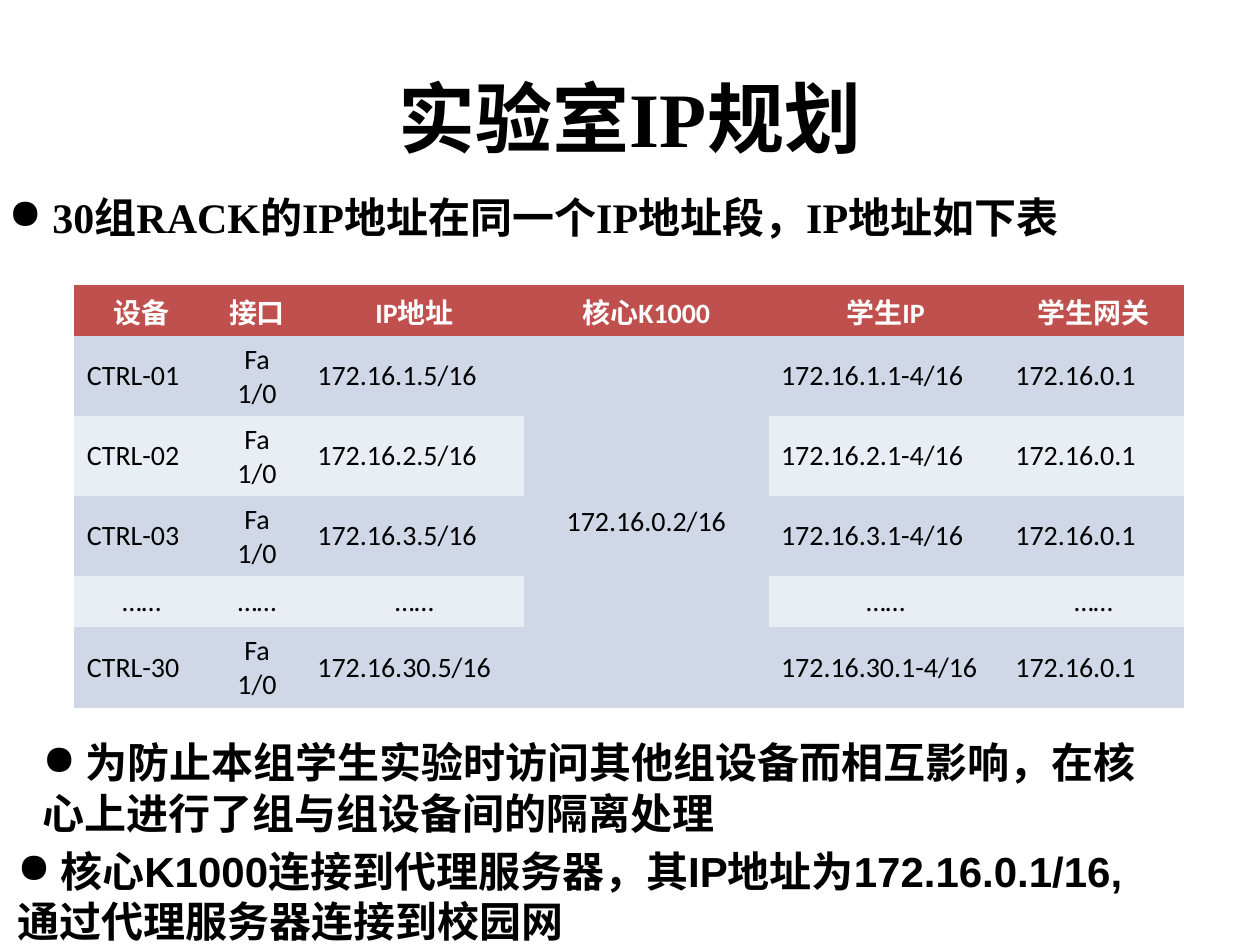
from lxml.etree import SubElement
from pptx import Presentation
from pptx.dml.color import RGBColor
from pptx.enum.text import MSO_ANCHOR, MSO_AUTO_SIZE, PP_ALIGN
from pptx.oxml.ns import qn
from pptx.util import Inches, Pt

BLACK = RGBColor(0x00, 0x00, 0x00)
WHITE = RGBColor(0xFF, 0xFF, 0xFF)
RED = RGBColor(0xC0, 0x50, 0x4D)
BAND_DARK = RGBColor(0xD0, 0xD8, 0xE8)
BAND_LIGHT = RGBColor(0xE9, 0xED, 0xF4)
NO_STYLE = "{2D5ABB26-0587-4C30-8999-92F81FD0307C}"

TITLE = "实验室IP规划"
# left, top, width, height, font, lines
NOTES = [
    (-0.03, 1.47, 9.32, 0.5, "Times New Roman",
     [" 30组RACK的IP地址在同一个IP地址段，IP地址如下表"]),
    (0.24, 5.8, 8.94, 0.9, "Times New Roman",
     [" 为防止本组学生实验时访问其他组设备而相互影响，在核",
      "心上进行了组与组设备间的隔离处理"]),
    (0.04, 6.66, 9.42, 0.9, "Arial",
     [" 核心K1000连接到代理服务器，其IP地址为172.16.0.1/16,",
      "通过代理服务器连接到校园网"]),
]
HEADERS = ["设备", "接口", "IP地址", "核心K1000", "学生IP", "学生网关"]
GROUPS = [1, 2, 3, None, 30]  # None is the row of dots
DOTS = "……"
CORE_ADDRESS = "172.16.0.2/16"
CORE_COLUMN = 3
COLUMN_WIDTHS = [1.07, 0.76, 1.74, 1.94, 1.86, 1.44]
ROW_HEIGHTS = [0.41, 0.63, 0.63, 0.63, 0.41, 0.64]


def group_row(group):
    if group is None:
        row = [DOTS] * len(HEADERS)
    else:
        row = [f"CTRL-{group:02}", "Fa 1/0", f"172.16.{group}.5/16", "",
               f"172.16.{group}.1-4/16", "172.16.0.1"]
    row[CORE_COLUMN] = CORE_ADDRESS if group == GROUPS[0] else ""
    return row


def style(para, name, size, color, bold):
    font = para.font
    font.name, font.size, font.bold = name, Pt(size), bold
    font.color.rgb = color


def add_bullet(para):
    properties = para._p.get_or_add_pPr()
    properties.set("marL", "0")
    properties.set("indent", "0")
    color = SubElement(properties, qn("a:buClr"))
    SubElement(color, qn("a:srgbClr")).set("val", str(BLACK))
    SubElement(properties, qn("a:buChar")).set("char", "●")


def add_title(page):
    box = page.shapes.add_textbox(Inches(0.5), Inches(0.3), Inches(9), Inches(1.25))
    frame = box.text_frame
    frame.word_wrap = True
    frame.vertical_anchor = MSO_ANCHOR.MIDDLE
    para = frame.paragraphs[0]
    para.text = TITLE
    para.alignment = PP_ALIGN.CENTER
    style(para, "Times New Roman", 44, BLACK, True)


def add_note(page, left, top, width, height, font, lines):
    box = page.shapes.add_textbox(Inches(left), Inches(top), Inches(width), Inches(height))
    frame = box.text_frame
    frame.word_wrap = False
    frame.auto_size = MSO_AUTO_SIZE.SHAPE_TO_FIT_TEXT
    for number, line in enumerate(lines):
        para = frame.add_paragraph() if number else frame.paragraphs[0]
        para.text = line
        if number == 0:
            add_bullet(para)
        style(para, font, 24, BLACK, True)


def add_address_table(page):
    rows = [HEADERS] + [group_row(group) for group in GROUPS]
    table = page.shapes.add_table(
        len(rows), len(HEADERS), Inches(0.59), Inches(2.26),
        Inches(sum(COLUMN_WIDTHS)), Inches(sum(ROW_HEIGHTS))).table
    table._tbl.tblPr.find(qn("a:tableStyleId")).text = NO_STYLE
    table.first_row = table.horz_banding = False
    for column, width in zip(table.columns, COLUMN_WIDTHS):
        column.width = Inches(width)
    for row, height in zip(table.rows, ROW_HEIGHTS):
        row.height = Inches(height)
    table.cell(1, CORE_COLUMN).merge(table.cell(len(rows) - 1, CORE_COLUMN))

    for r, texts in enumerate(rows):
        header = r == 0
        band = RED if header else BAND_DARK if r % 2 else BAND_LIGHT
        for c, text in enumerate(texts):
            cell = table.cell(r, c)
            if cell.is_spanned:
                continue
            cell.fill.solid()
            cell.fill.fore_color.rgb = band
            cell.vertical_anchor = MSO_ANCHOR.MIDDLE
            para = cell.text_frame.paragraphs[0]
            para.text = text
            centred = header or text == DOTS or c in (1, CORE_COLUMN)
            para.alignment = PP_ALIGN.CENTER if centred else PP_ALIGN.LEFT
            style(para, "Calibri", 16, WHITE if header else BLACK, header)


def main():
    deck = Presentation()
    deck.slide_width, deck.slide_height = Inches(10), Inches(7.5)
    page = deck.slides.add_slide(deck.slide_layouts[6])
    add_title(page)
    add_address_table(page)
    for note in NOTES:
        add_note(page, *note)
    deck.save("out.pptx")


if __name__ == "__main__":
    main()
